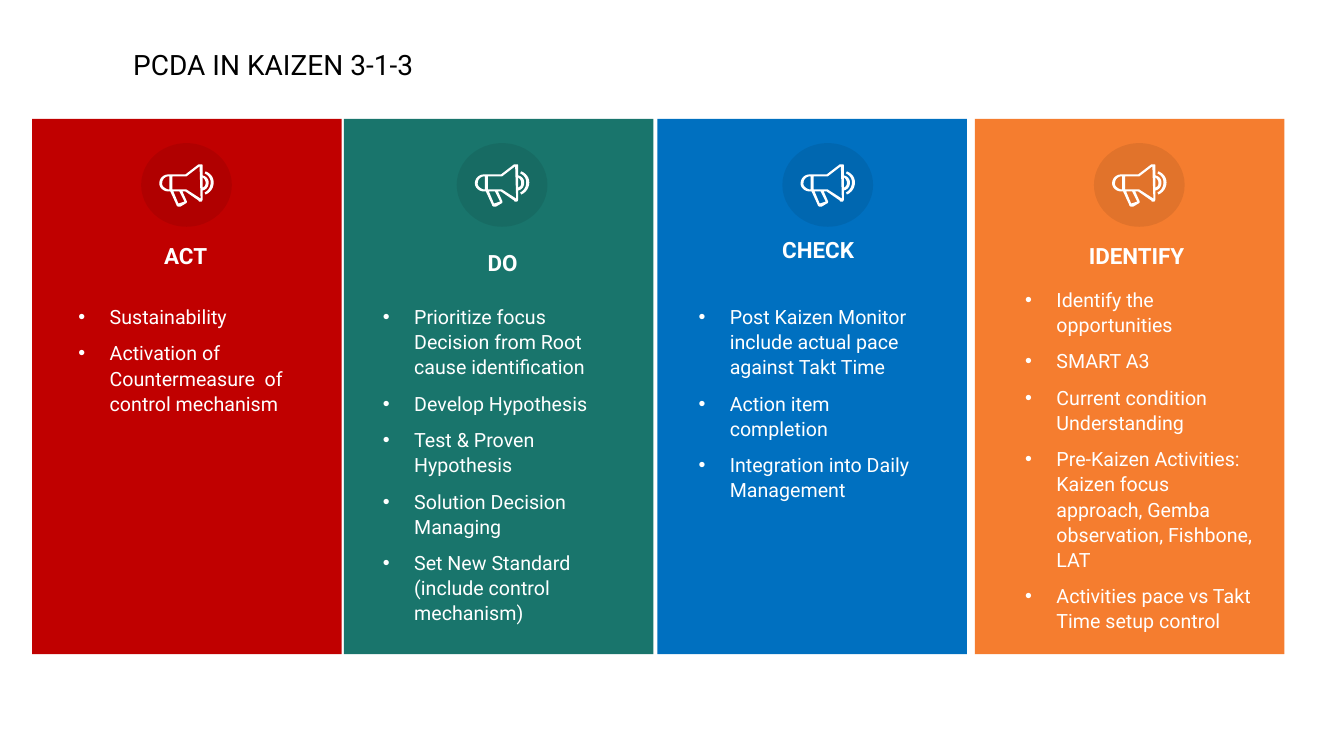
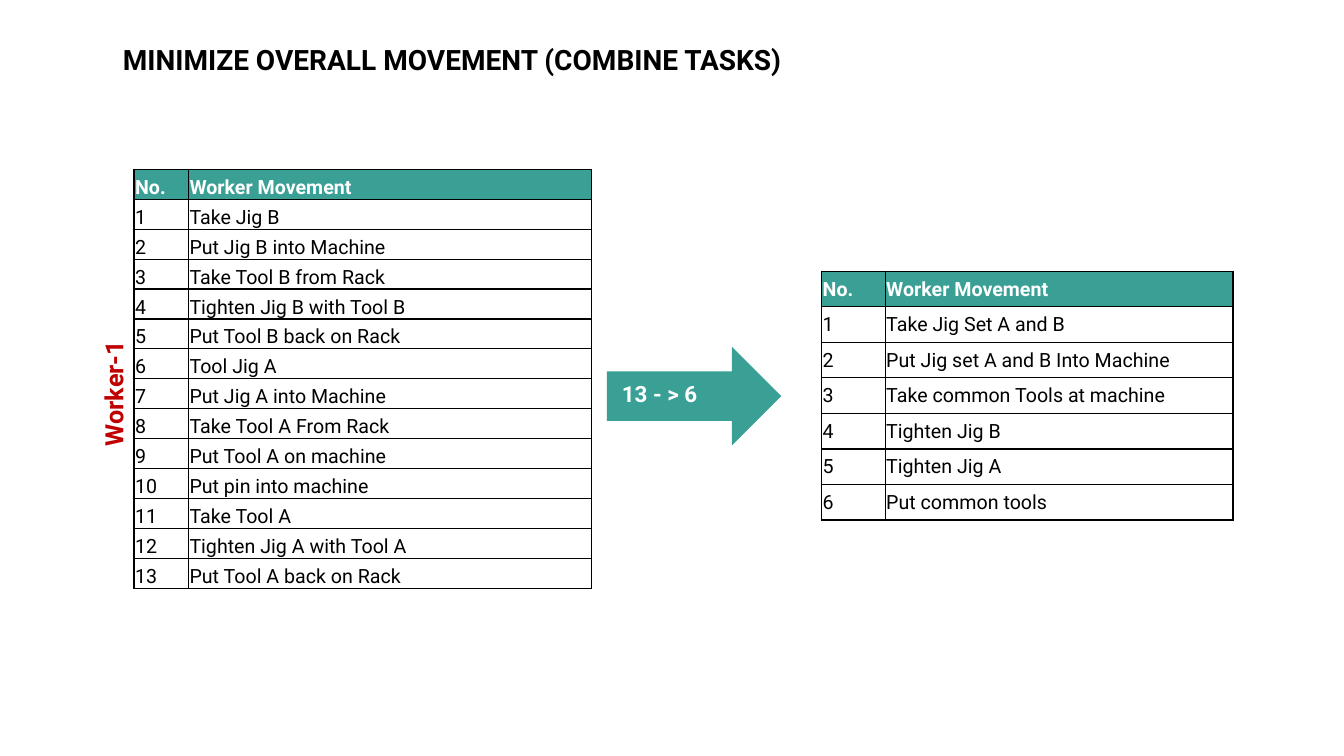
from lxml import etree
from pptx import Presentation
from pptx import util as u
from pptx.dml.color import RGBColor
from pptx.enum import shapes, text
from pptx.oxml import ns

WHITE, BLACK, RED, TEAL = "FFFFFF", "000000", "C00000", "3AA096"
LEFT, CENTER = text.PP_ALIGN.LEFT, text.PP_ALIGN.CENTER
BOTTOM, MIDDLE = text.MSO_ANCHOR.BOTTOM, text.MSO_ANCHOR.MIDDLE

MEGAPHONE = [
    [(14, 27), (19, 39), (25, 37), (20, 27)],
    [(43, 13), (43, 23), (44, 23, 44, 22, 45, 22), (47, 19, 46, 15, 43, 13)],
    [(9, 12), (6, 12, 3, 15, 3, 18), (2, 21, 5, 24, 9, 25), (10, 25), (10, 12)],
    [(46, 7), (51, 9, 54, 13, 54, 18), (54, 23, 51, 28, 46, 30), (45, 28),
     (49, 26, 51, 22, 51, 18), (51, 14, 49, 11, 45, 9)],
    [(40, 2), (27, 12), (13, 12), (13, 25), (27, 25), (41, 34)],
    [(40, 0), (41, 0, 41, 0, 42, 0), (43, 0, 43, 1, 43, 2), (43, 11),
     (47, 12, 49, 15, 49, 18), (49, 22, 47, 25, 43, 26), (43, 34),
     (43, 35, 43, 36, 42, 37), (41, 37, 41, 37, 40, 37),
     (40, 37, 39, 37, 39, 36), (26, 27), (23, 27), (27, 36),
     (28, 37, 27, 39, 26, 39), (21, 42), (20, 42, 19, 42, 19, 42),
     (18, 42, 17, 41, 17, 40), (11, 27), (9, 27), (4, 27, 0, 23, 0, 19),
     (0, 14, 4, 10, 9, 10), (26, 10), (39, 0)],
]


def color(value):
    return RGBColor.from_string(value)


def outline(contour, steps=6):
    points = [contour[0]]
    for segment in contour[1:]:
        if len(segment) == 2:
            points.append(segment)
            continue
        start, control_1, control_2, end = (
            points[-1], segment[:2], segment[2:4], segment[4:])
        for step in range(1, steps + 1):
            t = step / steps
            points.append(tuple(
                a * (1 - t) ** 3 + 3 * b * t * (1 - t) ** 2
                + 3 * c * t ** 2 * (1 - t) + d * t ** 3
                for a, b, c, d in zip(start, control_1, control_2, end)))
    return [(u.Inches(x / 100), u.Inches(y / 100)) for x, y in points]


class Deck:
    font = "Roboto"

    def __init__(self):
        self.presentation = Presentation()
        self.presentation.slide_width = u.Inches(13.33)
        self.presentation.slide_height = u.Inches(7.5)
        self.slide = None

    def new_slide(self):
        self.slide = self.presentation.slides.add_slide(
            self.presentation.slide_layouts[6])

    def paint(self, shape, fill, alpha=None):
        shape.shadow.inherit = False
        shape.fill.solid()
        shape.fill.fore_color.rgb = color(fill)
        shape.line.fill.background()
        if alpha:
            solid = shape.fill._xPr.find(ns.qn("a:solidFill"))
            etree.SubElement(solid[0], ns.qn("a:alpha")).set("val", str(alpha * 1000))

    def shape(self, kind, box, fill, alpha=None):
        shape = self.slide.shapes.add_shape(kind, *map(u.Inches, box))
        self.paint(shape, fill, alpha)

    def run(self, paragraph, words, size, fill, bold=False):
        run = paragraph.add_run()
        run.text = words
        run.font.name = self.font
        run.font.size = u.Pt(size)
        run.font.bold = bold
        run.font.color.rgb = color(fill)

    def text(self, box, lines, size, fill, bold=False, align=LEFT,
             spaced=False, bullets=False, rotation=0):
        shape = self.slide.shapes.add_textbox(*map(u.Inches, box))
        shape.rotation = rotation
        frame = shape.text_frame
        frame.word_wrap = True
        frame.auto_size = text.MSO_AUTO_SIZE.SHAPE_TO_FIT_TEXT
        for index, words in enumerate(lines):
            paragraph = frame.add_paragraph() if index else frame.paragraphs[0]
            paragraph.alignment = align
            if spaced:
                paragraph.line_spacing = 1.07
                paragraph.space_after = u.Pt(8)
            if bullets:
                self.bullet(paragraph)
            self.run(paragraph, words, size, fill, bold)

    def bullet(self, paragraph):
        properties = paragraph._p.get_or_add_pPr()
        indent = u.Inches(0.31)
        properties.set("marL", str(indent))
        properties.set("indent", str(-indent))
        etree.SubElement(properties, ns.qn("a:buFont")).set("typeface", "Arial")
        etree.SubElement(properties, ns.qn("a:buChar")).set("char", "•")

    def title(self, words, box, **style):
        self.text(box, [words], 20, BLACK, **style)

    def megaphone(self, left, top):
        self.shape(shapes.MSO_SHAPE.OVAL, (left, top, 0.9, 0.83), BLACK, 8)
        contours = [outline(contour) for contour in MEGAPHONE]
        builder = self.slide.shapes.build_freeform(*contours[0][0], scale=1.0)
        for index, points in enumerate(contours):
            if index:
                builder.move_to(*points[0])
            builder.add_line_segments(points[1:], close=True)
        self.paint(builder.convert_to_shape(
            u.Inches(left + 0.18), u.Inches(top + 0.21)), WHITE)

    def card(self, left, fill, heading, heading_box, align, icon_left,
             body_box, points):
        self.shape(shapes.MSO_SHAPE.RECTANGLE, (left, 1.18, 3.07, 5.31), fill)
        self.megaphone(icon_left, 1.42)
        self.text(heading_box, [heading], 16, WHITE, bold=True, align=align,
                  spaced=True)
        self.text(body_box, points, 14, WHITE, spaced=True, bullets=True)

    def table(self, box, widths, movements, anchor):
        rows = [("No.", "Worker Movement")]
        rows += [(str(number), name) for number, name in enumerate(movements, 1)]
        table = self.slide.shapes.add_table(
            len(rows), len(widths), *map(u.Inches, box)).table
        for column, width in zip(table.columns, widths):
            column.width = u.Inches(width)
        for row_index, row in enumerate(rows):
            header = row_index == 0
            for column_index, words in enumerate(row):
                cell = table.cell(row_index, column_index)
                self.borders(cell)
                cell.fill.solid()
                cell.fill.fore_color.rgb = color(TEAL if header else WHITE)
                cell.vertical_anchor = anchor
                cell.margin_left = cell.margin_right = cell.margin_top = u.Inches(0.01)
                cell.margin_bottom = 0
                self.run(cell.text_frame.paragraphs[0], words, 14,
                         WHITE if header else BLACK, header)

    def borders(self, cell):
        properties = cell._tc.get_or_add_tcPr()
        for side in ("lnL", "lnR", "lnT", "lnB"):
            line = etree.SubElement(properties, ns.qn("a:" + side))
            line.set("w", str(u.Pt(1)))
            solid = etree.SubElement(line, ns.qn("a:solidFill"))
            etree.SubElement(solid, ns.qn("a:srgbClr")).set("val", BLACK)


def pdca_slide(deck):
    deck.new_slide()
    deck.card(0.32, RED, "ACT", (1.53, 2.33, 0.65, 0.33), LEFT, 1.4,
              (0.68, 2.96, 2.28, 1.11),
              ["Sustainability",
               "Activation of Countermeasure  of  control mechanism"])
    deck.card(3.41, "19756C", "DO", (4.57, 2.4, 0.83, 0.33), CENTER, 4.53,
              (3.7, 2.96, 2.43, 3.04),
              ["Prioritize focus Decision from Root cause identification",
               "Develop Hypothesis",
               "Test & Proven Hypothesis",
               "Solution Decision Managing",
               "Set New Standard (include control mechanism)"])
    deck.card(6.52, "0070C0", "CHECK", (7.66, 2.28, 1.1, 0.33), LEFT, 7.76,
              (6.83, 2.96, 2.43, 1.91),
              ["Post Kaizen Monitor include actual pace against Takt Time",
               "Action item completion",
               "Integration into Daily Management"])
    deck.card(9.67, "F57D2F", "IDENTIFY ", (10.5, 2.33, 1.6, 0.33), CENTER, 10.85,
              (10.07, 2.79, 2.46, 3.27),
              ["Identify the opportunities",
               "SMART A3",
               "Current condition Understanding",
               "Pre-Kaizen Activities: Kaizen focus approach, Gemba observation, "
               "Fishbone, LAT",
               "Activities pace vs Takt Time setup control"])
    deck.title("PCDA IN KAIZEN 3-1-3", (0.89, 0.4, 3.64, 0.43),
               align=CENTER, spaced=True)


def movement_slide(deck):
    deck.new_slide()
    deck.shape(shapes.MSO_SHAPE.RIGHT_ARROW, (6.02, 3.44, 1.73, 0.98), TEAL)
    deck.title("MINIMIZE OVERALL MOVEMENT (COMBINE TASKS)",
               (1.12, 0.37, 7.86, 0.44), bold=True)
    deck.table((1.33, 1.68, 4.54, 4.16), (0.54, 4),
               ["Take Jig B", "Put Jig B into Machine", "Take Tool B from Rack",
                "Tighten Jig B with Tool B", "Put Tool B back on Rack",
                "Tool Jig A", "Put Jig A into Machine", "Take Tool A From Rack",
                "Put Tool A on machine", "Put pin into machine", "Take Tool A",
                "Tighten Jig A with Tool A", "Put Tool A back on Rack"], BOTTOM)
    deck.table((8.15, 2.69, 4.08, 2.47), (0.63, 3.45),
               ["Take Jig Set A and B", "Put Jig set A and B Into Machine",
                "Take common Tools at machine", "Tighten Jig B",
                "Tighten Jig A", "Put common tools"], MIDDLE)
    deck.text((6.07, 3.72, 1.2, 0.37), ["13 - > 6"], 16, WHITE, bold=True)
    deck.text((0.36, 3.56, 1.53, 0.4), ["Worker-1"], 18, RED, bold=True,
              rotation=270)


def main():
    deck = Deck()
    pdca_slide(deck)
    movement_slide(deck)
    deck.presentation.save("out.pptx")


if __name__ == "__main__":
    main()
